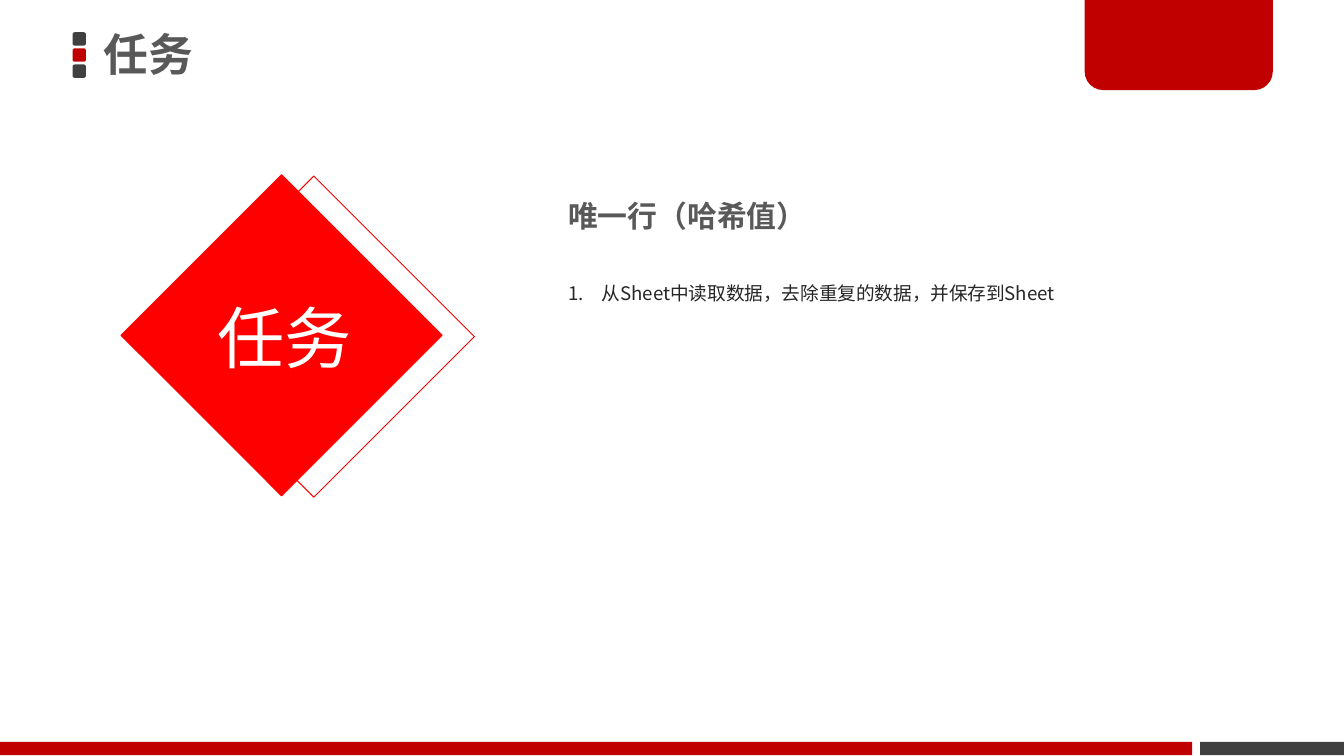
import pptx
import pptx.util
import pptx.dml.color
import pptx.enum.shapes
import pptx.enum.text
import pptx.oxml
import pptx.oxml.ns

Inches, Pt = pptx.util.Inches, pptx.util.Pt
Kind = pptx.enum.shapes.MSO_SHAPE
Anchor = pptx.enum.text.MSO_ANCHOR
Align = pptx.enum.text.PP_ALIGN

THEME = {
    "font": "Noto Sans CJK SC",
    "dark": "404040", "brand": "C00000", "red": "FF0000",
    "head": "595959", "body": "262626", "white": "FFFFFF",
    "badge": 36, "title": 24, "topic": 16, "item": 10, "line": 0.5,
}

# Content: words, box, role, colour, bold, paragraph format, frame format
MID = {"vertical_anchor": Anchor.MIDDLE, "margin_left": Inches(0.08),
       "margin_right": Inches(0.08), "margin_top": Inches(0.04),
       "margin_bottom": Inches(0.04)}
TEXTS = [
    ("任务", (0.02, 2.1, 4.19, 0.89), "badge", "white", False,
     {"alignment": Align.CENTER, "line_spacing": 0.9}, MID),
    ("任务", (0.69, -0.02, 4.31, 0.89), "title", "head", True,
     {"line_spacing": 0.9}, MID),
    ("唯一行（哈希值）", (4.13, 1.42, 3.86, 0.37), "topic", "head", True, {}, {}),
    ("从Sheet中读取数据，去除重复的数据，并保存到Sheet", (4.13, 1.8, 5.59, 0.52),
     "item", "body", False, {"line_spacing": 2.5}, {}),
]
DOTS = ["dark", "brand", "dark"]
BARS = [("dark", 8.93, 1.07), ("brand", 0, 8.87)]
TILES = [(1.49, 1.66, None), (1.25, 1.65, "red")]
WIDTH = 10
HEIGHT = WIDTH * 9 / 16


def tint(name):
    return pptx.dml.color.RGBColor.from_string(THEME[name])


def apply(thing, vals):
    for key, val in vals.items():
        setattr(thing, key, val)


def shape(kind, box, fill=None, line=None, turn=0):
    part = slide.shapes.add_shape(kind, *map(Inches, box))
    part.shadow.inherit = False
    part.rotation = turn
    if fill:
        part.fill.solid()
        part.fill.fore_color.rgb = tint(fill)
    else:
        part.fill.background()
    if line:
        part.line.color.rgb = tint(line)
        part.line.width = Pt(THEME["line"])
    else:
        part.line.fill.background()
    return part


def label(words, box, role, color, bold, para, frame):
    body = slide.shapes.add_textbox(*map(Inches, box)).text_frame
    apply(body, {"word_wrap": True, **frame})
    line = body.paragraphs[0]
    apply(line, para)
    run = line.add_run()
    run.text = words
    apply(run.font, {"name": THEME["font"], "size": Pt(THEME[role]), "bold": bold})
    run.font.color.rgb = tint(color)
    # East Asian typeface
    face = pptx.oxml.parse_xml(
        f'<a:ea {pptx.oxml.ns.nsdecls("a")} typeface="{THEME["font"]}"/>')
    run.font._element.find(pptx.oxml.ns.qn("a:latin")).addnext(face)
    return line


def number(line):
    props = line._p.get_or_add_pPr()
    props.set("marL", str(Inches(0.25)))
    props.set("indent", str(-Inches(0.25)))
    for tag in (f'buFont {pptx.oxml.ns.nsdecls("a")} typeface="{THEME["font"]}"',
                f'buAutoNum {pptx.oxml.ns.nsdecls("a")} type="arabicPeriod"'):
        props.append(pptx.oxml.parse_xml(f"<a:{tag}/>"))


deck = pptx.Presentation()
apply(deck, {"slide_width": Inches(WIDTH), "slide_height": Inches(HEIGHT)})
slide = deck.slides.add_slide(deck.slide_layouts[6])

# Title dots
for row, color in enumerate(DOTS):
    shape(Kind.ROUNDED_RECTANGLE, (0.54, 0.24 + 0.12 * row, 0.1, 0.1), color)

# Footer bars
for color, left, width in BARS:
    shape(Kind.RECTANGLE, (left, 5.52, width, 0.1), color)

# Corner tab, round at the bottom
tab = shape(Kind.ROUND_2_SAME_RECTANGLE, (8.07, -0.02, 1.4, 0.69), "brand", turn=180)
tab.adjustments[0] = 0.2

# Diamonds
for left, top, fill in TILES:
    shape(Kind.RECTANGLE, (left, top, 1.69, 1.69), fill, "red", 45)

# Texts, the last one numbered
lines = [label(*item) for item in TEXTS]
number(lines[-1])

deck.save("out.pptx")
